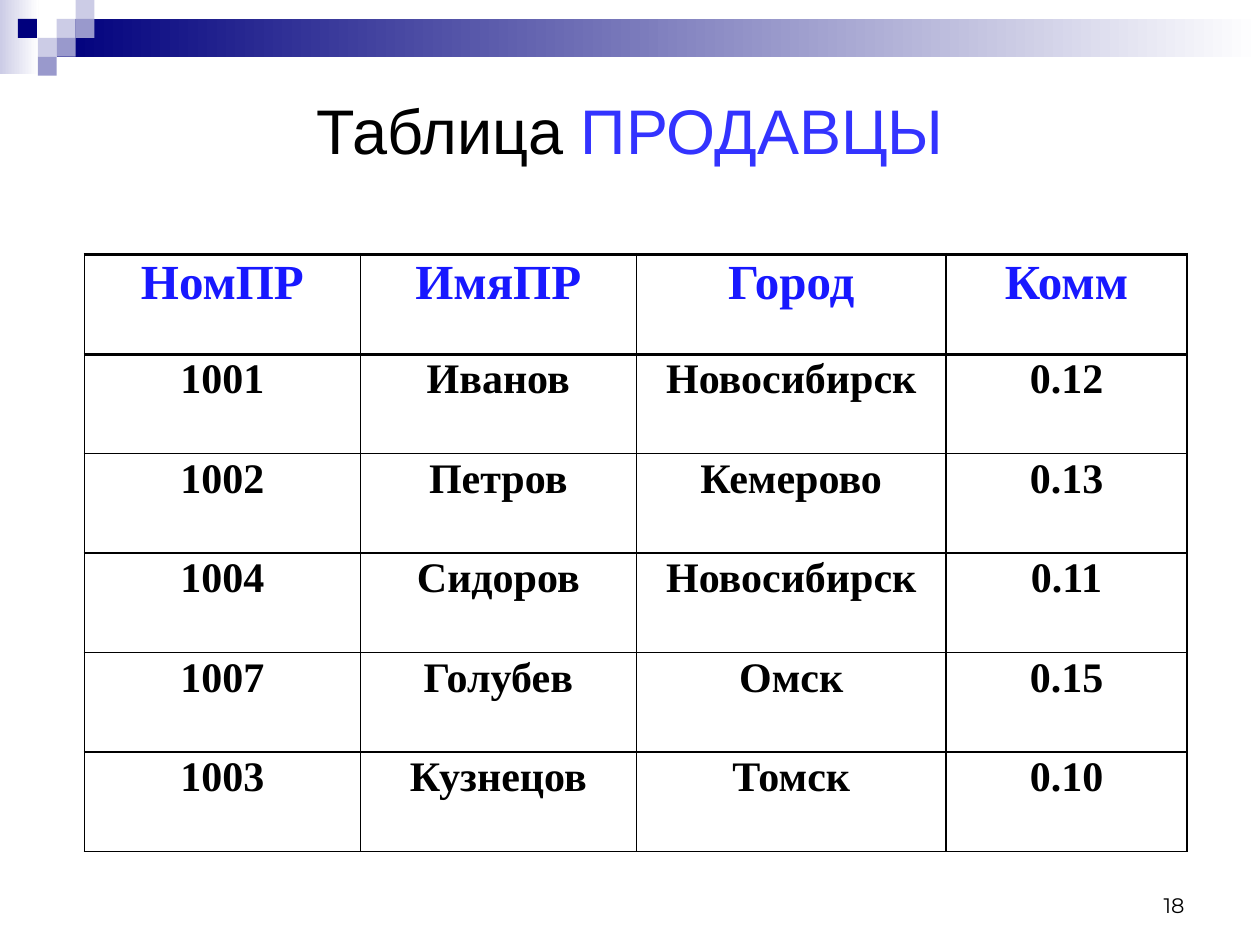
from pptx import Presentation
from pptx import util as u
from pptx.dml.color import RGBColor
from pptx.enum import shapes, text
from pptx.oxml.ns import qn
from lxml import etree

COLORS = {
    "ink": "000000", "paper": "FFFFFF", "navy": "00007D", "lilac": "9999CC",
    "pale": "CCCCE6", "accent": "3333FF", "header": "1818FF",
}
UNIT = 0.15
SQUARES = [
    (3, 1, "pale"), (4, 0, "pale"), (4, 1, "lilac"), (2, 2, "pale"),
    (0.95, 1, "navy"), (3, 2, "lilac"), (2, 3, "lilac"),
]
COLUMNS = [2.19, 2.19, 2.46, 1.91]
ROW_HEIGHT = 0.79
SELLERS = [
    ("НомПР", "ИмяПР", "Город", "Комм"),
    ("1001", "Иванов", "Новосибирск", "0.12"),
    ("1002", "Петров", "Кемерово", "0.13"),
    ("1004", "Сидоров", "Новосибирск", "0.11"),
    ("1007", "Голубев", "Омск", "0.15"),
    ("1003", "Кузнецов", "Томск", "0.10"),
]


def rgb(name):
    return RGBColor.from_string(COLORS[name])


def set_font(font, name, size, color, bold=False):
    font.name, font.size, font.bold = name, u.Pt(size), bold
    font.color.rgb = rgb(color)


def add_block(s, col, row, cols, rows, color, fade=False):
    box = [u.Inches(n * UNIT) for n in (col, row, cols, rows)]
    sp = s.shapes.add_shape(shapes.MSO_SHAPE.RECTANGLE, *box)
    sp.shadow.inherit = False
    sp.line.fill.background()
    if fade:
        sp.fill.gradient()
        sp.fill.gradient_angle = 0
        for stop, position, name in zip(sp.fill.gradient_stops, (0, 1), (color, "paper")):
            stop.position = position
            stop.color.rgb = rgb(name)
    else:
        sp.fill.solid()
        sp.fill.fore_color.rgb = rgb(color)


def add_banner(s):
    add_block(s, 0, 0, 2.05, 3.9, "pale", fade=True)
    add_block(s, 3, 1, 10 / UNIT - 3, 2, "navy", fade=True)
    for col, row, color in SQUARES:
        add_block(s, col, row, 1, 1, color)


def fill_title(s):
    sp = s.shapes.title
    sp.left, sp.top, sp.width, sp.height = map(u.Inches, (0.5, 0.5, 9, 1.05))
    tf = sp.text_frame
    tf.vertical_anchor = text.MSO_ANCHOR.MIDDLE
    p = tf.paragraphs[0]
    p.alignment = text.PP_ALIGN.CENTER
    for words, color in (("Таблица ", "ink"), ("ПРОДАВЦЫ", "accent")):
        r = p.add_run()
        r.text = words
        set_font(r.font, "Arial", 36, color)


def set_borders(cell, **widths):
    tcPr = cell._tc.get_or_add_tcPr()
    for side in "LRTB":
        ln = etree.SubElement(tcPr, qn(f"a:ln{side}"), w=str(u.Pt(widths.get(side, 1))))
        fill = etree.SubElement(ln, qn("a:solidFill"))
        etree.SubElement(fill, qn("a:srgbClr"), val=COLORS["ink"])


def add_sellers(s):
    frame = s.shapes.add_table(
        len(SELLERS), len(COLUMNS), u.Inches(0.67), u.Inches(2.02),
        u.Inches(sum(COLUMNS)), u.Inches(ROW_HEIGHT * len(SELLERS)))
    table = frame.table
    table.horz_banding = False
    for column, width in zip(table.columns, COLUMNS):
        column.width = u.Inches(width)
    for i, record in enumerate(SELLERS):
        for j, value in enumerate(record):
            cell = table.cell(i, j)
            set_borders(cell, T=2 if i < 2 else 1, B=2 if i == 0 else 1)
            cell.fill.background()
            p = cell.text_frame.paragraphs[0]
            p.text = value
            p.alignment = text.PP_ALIGN.CENTER
            p.line_spacing = 0.9
            size, color = (28, "header") if i == 0 else (24, "ink")
            set_font(p.font, "Times New Roman", size, color, bold=True)


def add_page_number(s, number):
    sp = s.shapes.add_textbox(*map(u.Inches, (7.17, 6.83, 2.33, 0.5)))
    tf = sp.text_frame
    tf.word_wrap = True
    tf.vertical_anchor = text.MSO_ANCHOR.BOTTOM
    p = tf.paragraphs[0]
    p.text = number
    p.alignment = text.PP_ALIGN.RIGHT
    set_font(p.font, "Montserrat", 12, "ink")


def main():
    prs = Presentation()
    prs.slide_width, prs.slide_height = u.Inches(10), u.Inches(7.5)
    s = prs.slides.add_slide(prs.slide_layouts[5])
    add_banner(s)
    fill_title(s)
    add_sellers(s)
    add_page_number(s, "18")
    prs.save("out.pptx")


if __name__ == "__main__":
    main()
